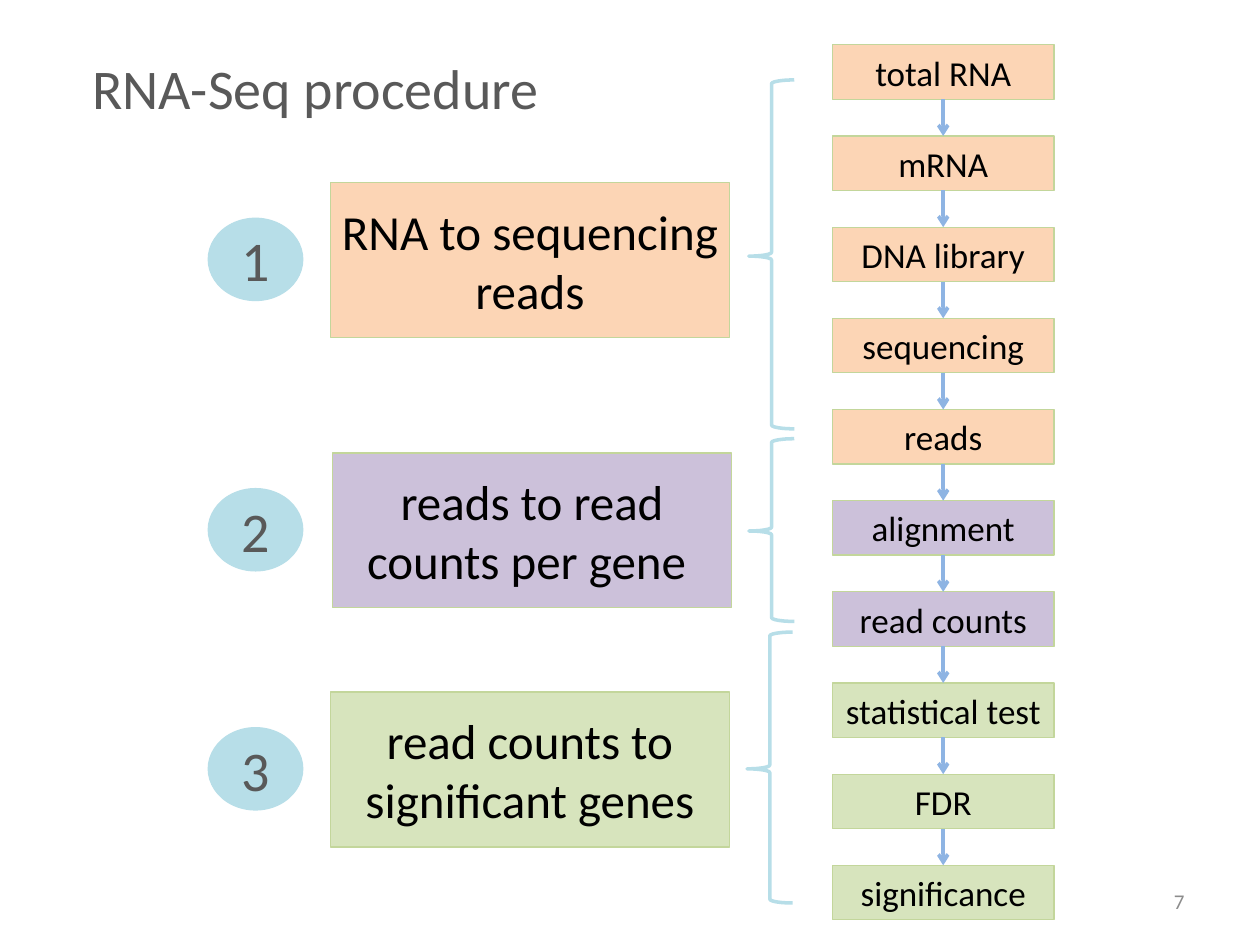
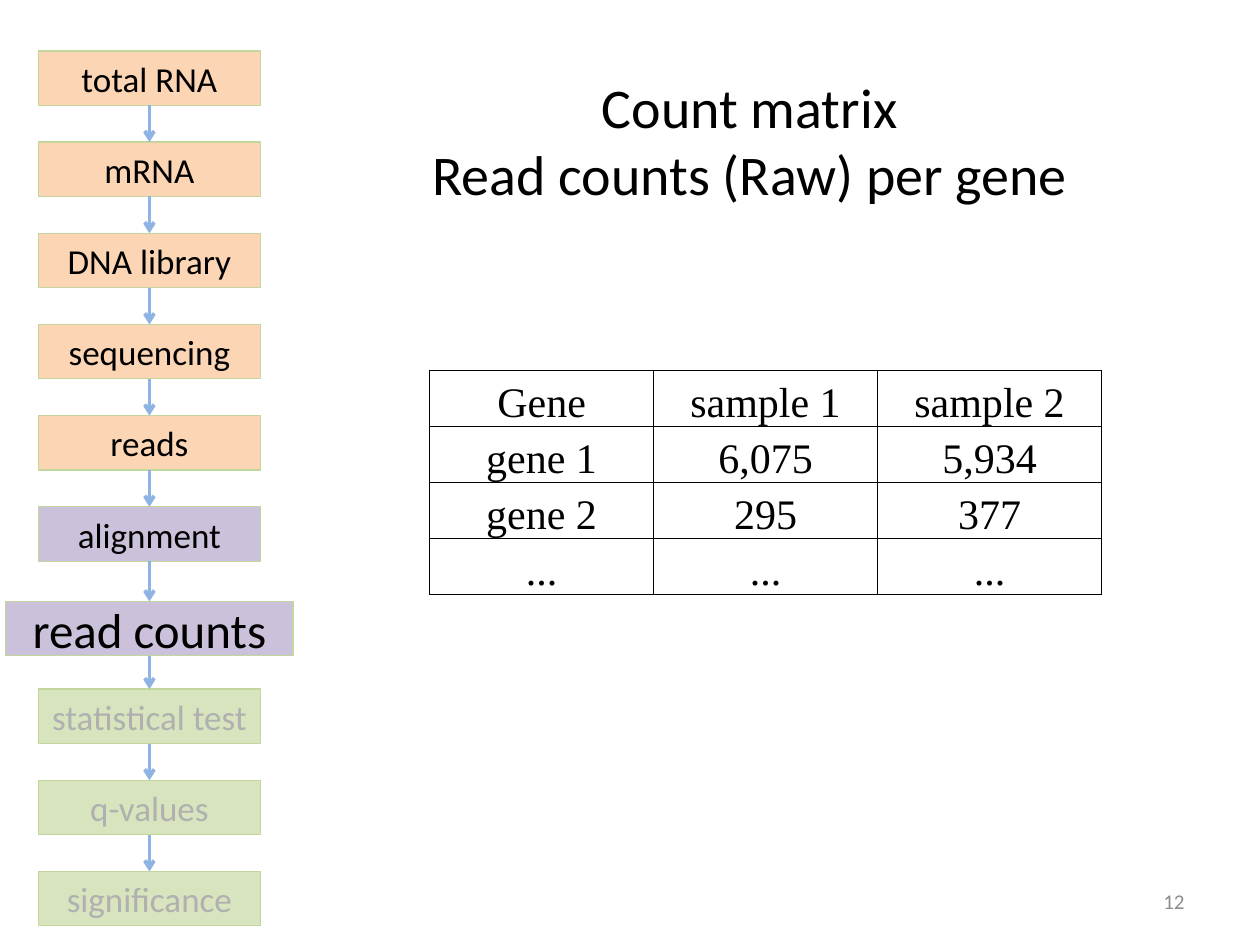
"""Builds two slides on the RNA-Seq procedure and its count matrix."""
from dataclasses import dataclass

from lxml import etree
from pptx import Presentation
from pptx.dml.color import RGBColor
from pptx.enum.shapes import MSO_CONNECTOR, MSO_SHAPE
from pptx.enum.text import MSO_ANCHOR, PP_ALIGN
from pptx.oxml.ns import qn
from pptx.util import Pt

STRAIGHT = MSO_CONNECTOR.STRAIGHT
RECT, OVAL, BRACE = MSO_SHAPE.RECTANGLE, MSO_SHAPE.OVAL, MSO_SHAPE.LEFT_BRACE
MIDDLE, BOTTOM = MSO_ANCHOR.MIDDLE, MSO_ANCHOR.BOTTOM
CENTER, RIGHT = PP_ALIGN.CENTER, PP_ALIGN.RIGHT

BLACK, DARK, GREY, FADED = "000000", "595959", "8C8C8C", "B0B0B0"
ORANGE, PURPLE, GREEN = "FCD5B5", "CCC1DA", "D7E4BD"
BORDER, ARROW, TEAL = "C3D69B", "8EB4E3", "B7DEE8"
BODY_FONT, TABLE_FONT = "Calibri", "Times New Roman"

STEP_W, STEP_H, STEP_PITCH = 126.8, 31.1, 52.1
PHASE_W, PHASE_H = 228, 88.5
BADGE_LEFT, BADGE_W, BADGE_H = 119, 54, 47
BRACE_W = 26
COL_W, ROW_H = 128, 32


@dataclass
class Step:
    """One box of the workflow column."""
    label: str
    fill: str
    color: str = BLACK
    size: float = 20
    width: float = STEP_W
    drop: float = 0


@dataclass
class Phase:
    """A numbered group of steps with its brace."""
    label: str
    fill: str
    left: float
    top: float
    brace_left: float
    brace_top: float
    brace_height: float


SAMPLE_STEPS = [Step(label, ORANGE) for label in
                ("total RNA", "mRNA", "DNA library", "sequencing", "reads")]
SAMPLE_STEPS.append(Step("alignment", PURPLE))
PROCEDURE = SAMPLE_STEPS + [Step("read counts", PURPLE)] + [
    Step(label, GREEN) for label in ("statistical test", "FDR", "significance")]
PROGRESS = SAMPLE_STEPS + [
    Step("read counts", PURPLE, size=28, width=164.2, drop=2)] + [
    Step(label, GREEN, FADED) for label in ("statistical test", "q-values", "significance")]
PHASES = [
    Phase("RNA to sequencing reads", ORANGE, 188.8, 104.4, 427.9, 45.7, 199.4),
    Phase("reads to read counts per gene ", PURPLE, 190, 258.9, 427.9, 250.7, 104.4),
    Phase("read counts to significant genes", GREEN, 188.8, 395.5, 426.9, 361.2, 154.8),
]
COUNTS = [("Gene", "sample 1"), ("gene 1", "6,075"), ("gene 2", "295"), ("...", "...")]
SECOND_SAMPLE = [("sample 2",), ("5,934",), ("377",), ("...",)]


def rgb(value: str) -> RGBColor:
    """Turn a hex string into a colour."""
    return RGBColor.from_string(value)


def write(tf, text: str, size: float, color: str = BLACK, align=CENTER,
          font: str = BODY_FONT) -> None:
    """Fill a text frame and format its runs."""
    tf.text = text
    tf.word_wrap = True
    for p in tf.paragraphs:
        p.alignment = align
        for r in p.runs:
            r.font.name, r.font.size = font, Pt(size)
            r.font.color.rgb = rgb(color)


def add_text(s, left: float, top: float, width: float, height: float, text: str,
             size: float, color: str, align=CENTER) -> None:
    """Add a vertically centred text box."""
    tf = s.shapes.add_textbox(Pt(left), Pt(top), Pt(width), Pt(height)).text_frame
    write(tf, text, size, color, align)
    tf.vertical_anchor = MIDDLE


def add_box(s, kind, left: float, top: float, width: float, height: float, fill: str,
            line: str, text: str, size: float, color: str = BLACK):
    """Add a filled shape with a centred label and no insets."""
    sp = s.shapes.add_shape(kind, Pt(left), Pt(top), Pt(width), Pt(height))
    sp.shadow.inherit = False
    sp.fill.solid()
    sp.fill.fore_color.rgb = rgb(fill)
    sp.line.color.rgb = rgb(line)
    sp.line.width = Pt(0.75)
    tf = sp.text_frame
    tf.margin_left = tf.margin_right = tf.margin_top = tf.margin_bottom = 0
    tf.vertical_anchor = MIDDLE
    write(tf, text, size, color)
    return sp


def add_arrow(s, upper, lower) -> None:
    """Join two boxes with a downward arrow."""
    c = s.shapes.add_connector(STRAIGHT, 0, 0, 0, 0)
    c.begin_connect(upper, 2)
    c.end_connect(lower, 0)
    c.line.color.rgb = rgb(ARROW)
    c.line.width = Pt(2)
    etree.SubElement(c.line._get_or_add_ln(), qn("a:tailEnd"), type="arrow")
    etree.SubElement(c._element.spPr, qn("a:effectLst"))


def add_steps(s, left: float, top: float, steps: list[Step]) -> None:
    """Draw the workflow column, centred on one axis, with its arrows."""
    boxes = [add_box(s, RECT, left + (STEP_W - step.width) / 2,
                     top + i * STEP_PITCH + step.drop, step.width, STEP_H,
                     step.fill, BORDER, step.label, step.size, step.color)
             for i, step in enumerate(steps)]
    for upper, lower in zip(boxes, boxes[1:]):
        add_arrow(s, upper, lower)


def add_phase(s, number: int, phase: Phase) -> None:
    """Draw a phase box with its number badge and brace."""
    add_box(s, RECT, phase.left, phase.top, PHASE_W, PHASE_H, phase.fill, BORDER,
            phase.label, 28)
    add_box(s, OVAL, BADGE_LEFT, phase.top + (PHASE_H - BADGE_H) / 2 - 0.4, BADGE_W,
            BADGE_H, TEAL, TEAL, str(number), 32, DARK)
    sp = s.shapes.add_shape(BRACE, Pt(phase.brace_left), Pt(phase.brace_top),
                            Pt(BRACE_W), Pt(phase.brace_height))
    sp.shadow.inherit = False
    sp.adjustments[0], sp.adjustments[1] = 0.083, 0.505
    sp.fill.background()
    sp.line.color.rgb = rgb(TEAL)
    sp.line.width = Pt(2)


def add_borders(cell) -> None:
    """Give a cell thin black borders on all sides."""
    tc_pr = cell._tc.get_or_add_tcPr()
    for side in ("lnL", "lnR", "lnT", "lnB"):
        ln = etree.SubElement(tc_pr, qn(f"a:{side}"), w=str(Pt(0.5)))
        fill = etree.SubElement(ln, qn("a:solidFill"))
        etree.SubElement(fill, qn("a:srgbClr"), val=BLACK)


def add_counts(s, left: float, top: float, rows: list[tuple[str, ...]]) -> None:
    """Add a plain bordered table of read counts."""
    n_cols = len(rows[0])
    table = s.shapes.add_table(len(rows), n_cols, Pt(left), Pt(top),
                               Pt(n_cols * COL_W), Pt(len(rows) * ROW_H)).table
    table.first_row = table.horz_banding = False
    for i, row in enumerate(rows):
        for j, text in enumerate(row):
            cell = table.cell(i, j)
            cell.margin_left = cell.margin_right = cell.margin_top = Pt(0.75)
            cell.margin_bottom = 0
            cell.vertical_anchor = BOTTOM
            write(cell.text_frame, text, 24, font=TABLE_FONT)
            add_borders(cell)
            cell.fill.background()


def add_slide(prs, number: int, title: str, left: float, top: float, width: float,
              height: float, color: str):
    """Add a blank slide with a title and a page number."""
    s = prs.slides.add_slide(prs.slide_layouts[6])
    add_text(s, left, top, width, height, title, 32, color)
    add_text(s, 516, 500.5, 168, 28.8, str(number), 12, GREY, RIGHT)
    return s


def main() -> None:
    """Build and save the presentation."""
    prs = Presentation()
    prs.slide_width, prs.slide_height = Pt(720), Pt(540)

    s = add_slide(prs, 7, "RNA-Seq procedure", 36, 21.6, 288.7, 56.2, DARK)
    add_steps(s, 475.6, 25.6, PROCEDURE)
    for number, phase in enumerate(PHASES, 1):
        add_phase(s, number, phase)

    s = add_slide(prs, 12, "Count matrix\vRead counts (Raw) per gene",
                  194.8, 34.6, 467.3, 90, BLACK)
    add_counts(s, 245.5, 211.7, COUNTS)
    add_counts(s, 245.5 + 2 * COL_W, 211.7, SECOND_SAMPLE)
    add_steps(s, 22, 29.1, PROGRESS)

    prs.save("out.pptx")


if __name__ == "__main__":
    main()
